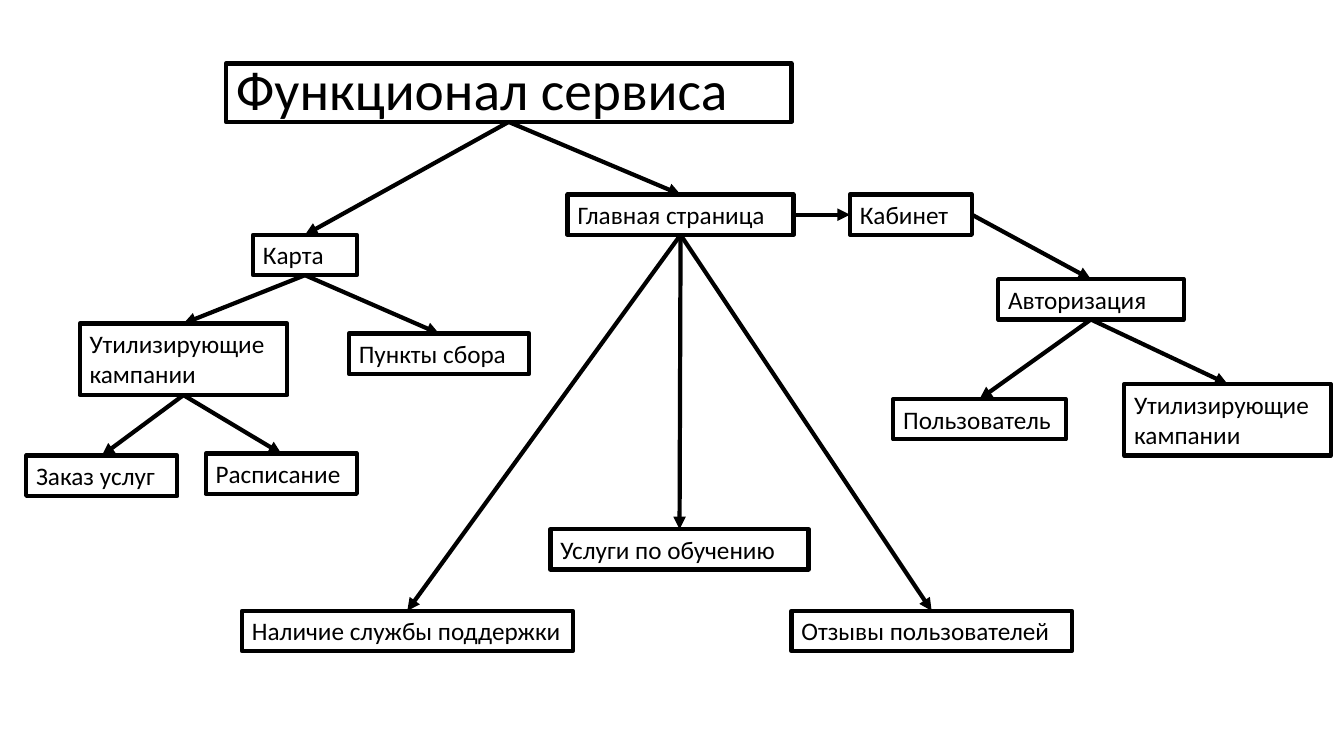
from dataclasses import dataclass
from enum import IntEnum

from lxml.etree import SubElement
from pptx import Presentation
from pptx.dml.color import RGBColor
from pptx.enum.shapes import MSO_CONNECTOR as Connector
from pptx.enum.text import MSO_ANCHOR as Anchor, MSO_AUTO_SIZE as AutoSize
from pptx.oxml.ns import qn
from pptx.shapes.autoshape import Shape
from pptx.slide import Slide
from pptx.util import Emu, Pt

PX = 9144  # 100 px to the inch
BLACK = RGBColor(0x00, 0x00, 0x00)
LINE_WIDTH = Pt(3)
ONE_LINE, TWO_LINES = 40, 71

LABEL_FRAME = {"word_wrap": True, "auto_size": AutoSize.SHAPE_TO_FIT_TEXT}
TITLE_FRAME = {
    "word_wrap": True,
    "auto_size": AutoSize.NONE,
    "vertical_anchor": Anchor.MIDDLE,
}
LABEL_FONT = {"name": "Calibri", "size": Pt(18)}
TITLE_FONT = {"name": "Calibri", "size": Pt(39.6)}


class Side(IntEnum):
    """Connection sites of a rectangle."""

    TOP = 0
    LEFT = 1
    BOTTOM = 2
    RIGHT = 3


@dataclass(frozen=True)
class Node:
    text: str
    left: int
    top: int
    width: int
    height: int = ONE_LINE


@dataclass(frozen=True)
class Arrow:
    parent: str
    child: str
    leaves: Side = Side.BOTTOM
    enters: Side = Side.TOP


TITLE = Node("Функционал сервиса", 224, 63, 561, 58)
LABELS = {
    "map": Node("Карта", 251, 233, 103),
    "map companies": Node("Утилизирующие кампании", 79, 321, 206, TWO_LINES),
    "points": Node("Пункты сбора", 346, 331, 179),
    "order": Node("Заказ услуг", 26, 452, 150),
    "schedule": Node("Расписание", 204, 450, 150),
    "home": Node("Главная страница", 563, 193, 224),
    "support": Node("Наличие службы поддержки", 240, 606, 328),
    "training": Node("Услуги по обучению", 546, 525, 256),
    "reviews": Node("Отзывы пользователей", 785, 606, 278),
    "account": Node("Кабинет", 843, 193, 121),
    "login": Node("Авторизация", 990, 277, 184),
    "user": Node("Пользователь", 886, 396, 171),
    "login companies": Node("Утилизирующие кампании", 1115, 381, 205, TWO_LINES),
}
BRANCHES = {
    "title": ("map", "home"),
    "map": ("map companies", "points"),
    "map companies": ("order", "schedule"),
    "home": ("support", "training", "reviews"),
    "login": ("user", "login companies"),
}
ARROWS = [
    *(Arrow(parent, child) for parent, children in BRANCHES.items() for child in children),
    Arrow("home", "account", Side.RIGHT, Side.LEFT),
    Arrow("account", "login", Side.RIGHT),
]


def px(length: int) -> Emu:
    return Emu(length * PX)


def apply_format(target: object, values: dict[str, object]) -> None:
    for name, value in values.items():
        setattr(target, name, value)


def draw_node(slide: Slide, node: Node, frame_format: dict, font_format: dict) -> Shape:
    box = slide.shapes.add_textbox(
        px(node.left), px(node.top), px(node.width), px(node.height)
    )
    box.line.color.rgb = BLACK
    box.line.width = LINE_WIDTH
    apply_format(box.text_frame, frame_format)
    run = box.text_frame.paragraphs[0].add_run()
    run.text = node.text
    apply_format(run.font, font_format)
    run.font.color.rgb = BLACK
    return box


def draw_arrow(slide: Slide, arrow: Arrow, boxes: dict[str, Shape]) -> None:
    link = slide.shapes.add_connector(Connector.STRAIGHT, 0, 0, 0, 0)
    link.begin_connect(boxes[arrow.parent], int(arrow.leaves))
    link.end_connect(boxes[arrow.child], int(arrow.enters))
    link.line.color.rgb = BLACK
    link.line.width = LINE_WIDTH
    properties = link._element.spPr
    SubElement(properties.find(qn("a:ln")), qn("a:tailEnd"), type="triangle")
    SubElement(properties, qn("a:effectLst"))


def main() -> None:
    presentation = Presentation()
    presentation.slide_width = px(1333)
    presentation.slide_height = px(750)
    slide = presentation.slides.add_slide(presentation.slide_layouts[6])

    boxes = {"title": draw_node(slide, TITLE, TITLE_FRAME, TITLE_FONT)}
    boxes["title"].text_frame.paragraphs[0].line_spacing = 0.9
    for key, node in LABELS.items():
        boxes[key] = draw_node(slide, node, LABEL_FRAME, LABEL_FONT)
    for arrow in ARROWS:
        draw_arrow(slide, arrow, boxes)

    presentation.save("out.pptx")


if __name__ == "__main__":
    main()
